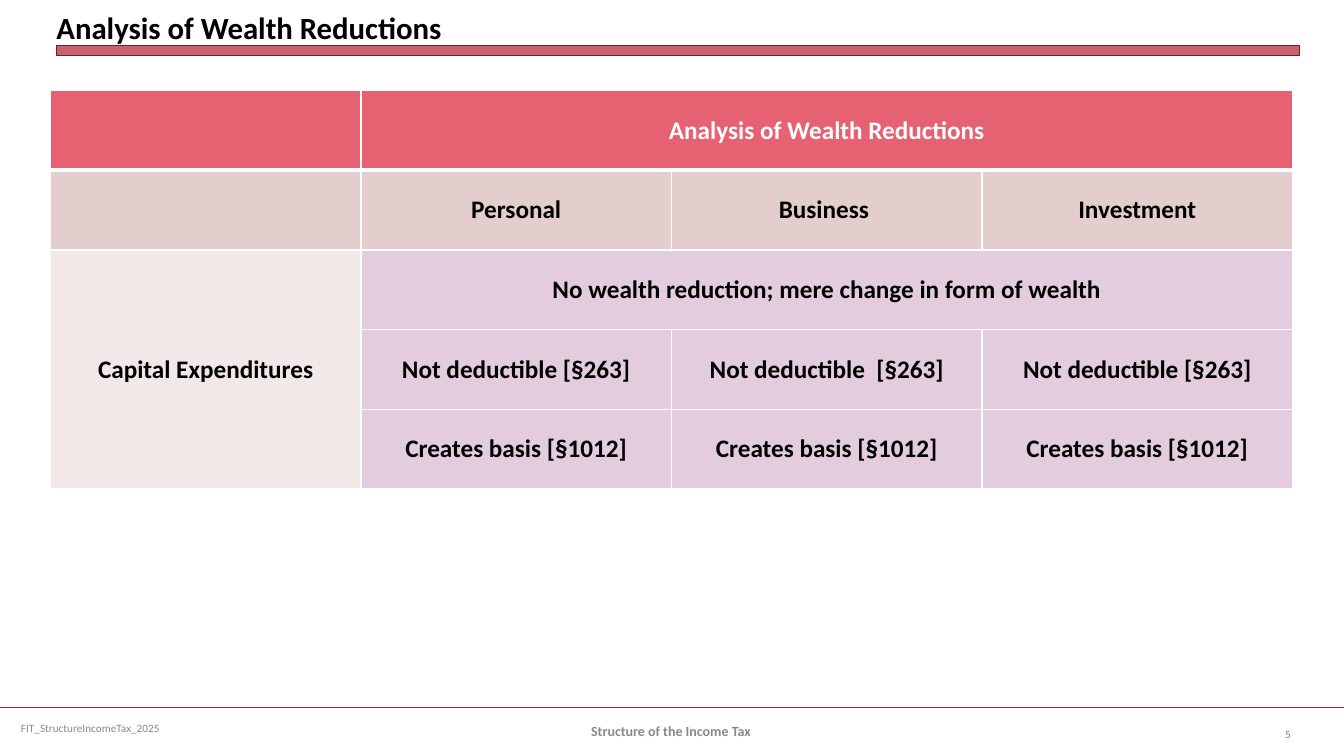
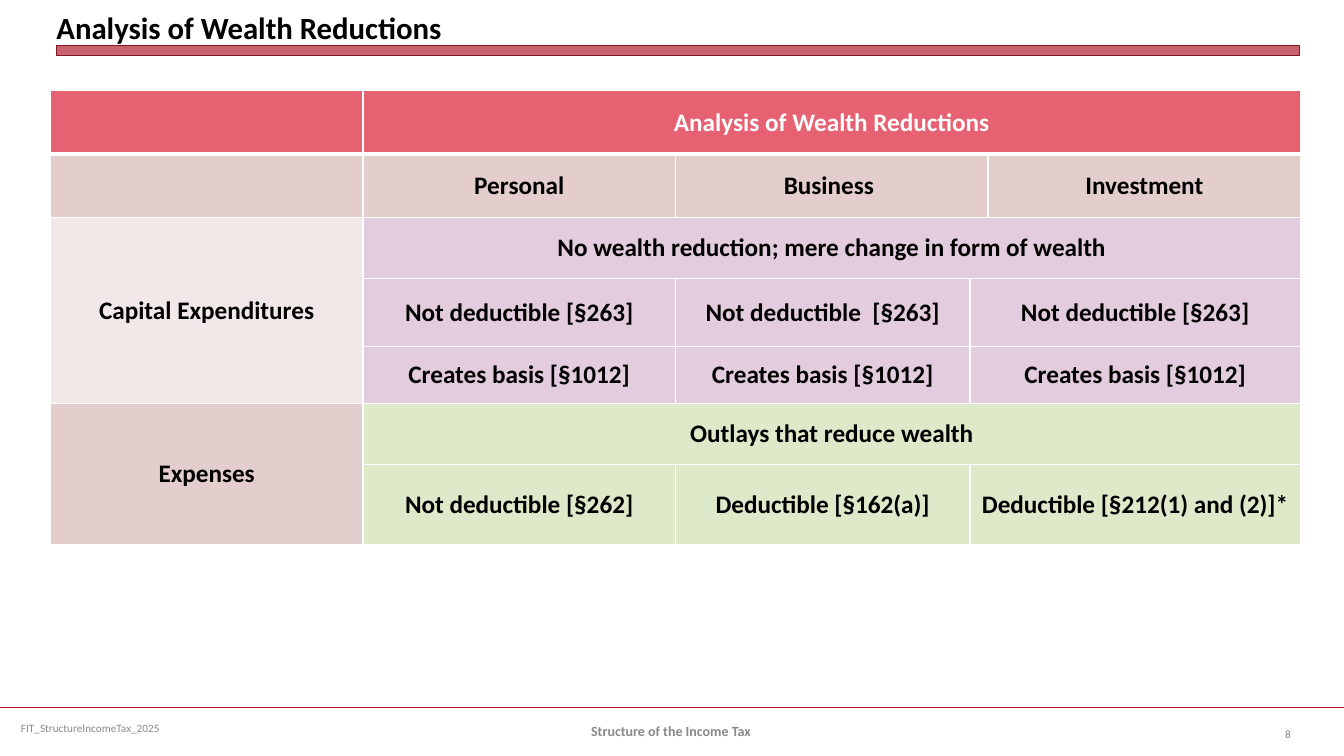
"""Build two slides that analyse wealth reductions for income tax."""
from dataclasses import dataclass

from lxml.etree import SubElement
from pptx import Presentation
from pptx.dml.color import RGBColor
from pptx.enum.shapes import MSO_CONNECTOR, MSO_SHAPE
from pptx.enum.text import MSO_ANCHOR, MSO_AUTO_SIZE, PP_ALIGN
from pptx.oxml.ns import qn
from pptx.util import Inches, Pt

FONT = "Calibri"
TITLE = "Analysis of Wealth Reductions"
BLACK, WHITE, GREY, PAGE_GREY = "000000", "FFFFFF", "898989", "808080"
RED, DARK_RED = "B01C2E", "821522"
HEAD, ROSE, PALE, LILAC, GREEN = "E66171", "E4CDCD", "F2E8E8", "E3CCDD", "DEE9C9"


@dataclass(frozen=True)
class Row:
    """A table row: height, fill, and texts with the columns each spans."""
    height: float
    fill: str
    texts: tuple[str, ...]
    spans: tuple[int, ...]


@dataclass(frozen=True)
class Label:
    """A first-column cell that spans some rows."""
    row: int
    rows: int
    fill: str
    text: str = ""


@dataclass(frozen=True)
class Page:
    """A slide: its number and its table."""
    number: int
    widths: tuple[float, ...]
    rows: tuple[Row, ...]
    labels: tuple[Label, ...]


@dataclass(frozen=True)
class Note:
    """A footer text box."""
    text: str
    box: tuple[float, float, float, float]
    size: int
    color: str
    align: PP_ALIGN
    bold: bool = False


def rgb(color: str) -> RGBColor:
    """Return the colour for a hex string."""
    return RGBColor.from_string(color)


def write(tf, text: str, size: int, color: str, align: PP_ALIGN, bold: bool) -> None:
    """Put one formatted paragraph in a text frame."""
    p = tf.paragraphs[0]
    if text:
        p.add_run().text = text
    p.alignment = align
    p.font.name, p.font.size, p.font.bold = FONT, Pt(size), bold
    p.font.color.rgb = rgb(color)


def add_title(s) -> None:
    """Fill and place the title placeholder."""
    sp = s.shapes.title
    sp.left, sp.top, sp.width, sp.height = map(Inches, (0.56, 0.05, 12.33, 0.4))
    tf = sp.text_frame
    tf.auto_size, tf.word_wrap = MSO_AUTO_SIZE.NONE, True
    tf.vertical_anchor = MSO_ANCHOR.BOTTOM
    tf.margin_left = tf.margin_right = tf.margin_top = tf.margin_bottom = 0
    write(tf, TITLE, 22, BLACK, PP_ALIGN.LEFT, True)


def add_band(s) -> None:
    """Draw the translucent bar under the title."""
    sp = s.shapes.add_shape(MSO_SHAPE.RECTANGLE, *map(Inches, (0.56, 0.45, 12.33, 0.1)))
    sp.shadow.inherit = False
    sp.fill.solid()
    sp.fill.fore_color.rgb = rgb(RED)
    fill = sp.fill._xPr.find(qn("a:solidFill"))
    SubElement(fill[0], qn("a:alpha"), val="69000")
    sp.line.color.rgb = rgb(DARK_RED)
    sp.line.width = Pt(0)


def add_footer(s, number: int) -> None:
    """Draw the footer rule and its three texts."""
    y = Inches(7.02)
    rule = s.shapes.add_connector(MSO_CONNECTOR.STRAIGHT, 0, y, Inches(13.33), y)
    rule.line.color.rgb = rgb(RED)
    rule.line.width = Pt(1.25)
    SubElement(rule._element.spPr, qn("a:effectLst"))
    notes = (
        Note("FIT_StructureIncomeTax_2025", (0.11, 7.02, 3.44, 0.4), 8, GREY, PP_ALIGN.LEFT),
        Note("Structure of the Income Tax ", (4.56, 7.05, 4.22, 0.4), 10, GREY,
             PP_ALIGN.CENTER, True),
        Note(str(number), (12.23, 7.08, 0.67, 0.4), 8, PAGE_GREY, PP_ALIGN.RIGHT),
    )
    for note in notes:
        tf = s.shapes.add_textbox(*map(Inches, note.box)).text_frame
        tf.word_wrap, tf.vertical_anchor = True, MSO_ANCHOR.MIDDLE
        write(tf, note.text, note.size, note.color, note.align, note.bold)


def set_borders(cell, top: float, bottom: float) -> None:
    """Give a cell white borders, 1 point wide at the sides."""
    tc_pr = cell._tc.get_or_add_tcPr()
    for side, width in (("L", 1), ("R", 1), ("T", top), ("B", bottom)):
        ln = SubElement(tc_pr, qn(f"a:ln{side}"), w=str(Pt(width)))
        SubElement(SubElement(ln, qn("a:solidFill")), qn("a:srgbClr"), val=WHITE)


def fill_block(table, row: int, col: int, rows: int, cols: int, fill: str, text: str) -> None:
    """Style a block of cells, merge it and write its text."""
    for r in range(row, row + rows):
        for c in range(col, col + cols):
            cell = table.cell(r, c)
            set_borders(cell, 3 if r == 1 else 1, 3 if r == 0 else 1)
            cell.fill.solid()
            cell.fill.fore_color.rgb = rgb(fill)
    first = table.cell(row, col)
    if rows * cols > 1:
        first.merge(table.cell(row + rows - 1, col + cols - 1))
    first.vertical_anchor = MSO_ANCHOR.MIDDLE
    color = WHITE if row == 0 else BLACK
    write(first.text_frame, text, 18, color, PP_ALIGN.CENTER, True)


def add_grid(s, page: Page) -> None:
    """Draw the table of a page."""
    heights = [row.height for row in page.rows]
    size = map(Inches, (0.5, 0.9, sum(page.widths), sum(heights)))
    table = s.shapes.add_table(len(heights), len(page.widths), *size).table
    table.horz_banding = False
    for column, width in zip(table.columns, page.widths):
        column.width = Inches(width)
    for i, row in enumerate(page.rows):
        table.rows[i].height = Inches(row.height)
        col = 1
        for text, span in zip(row.texts, row.spans):
            fill_block(table, i, col, 1, span, row.fill, text)
            col += span
    for label in page.labels:
        fill_block(table, label.row, 0, label.rows, 1, label.fill, label.text)


def capital_rows(heights: tuple[float, ...], head_spans: tuple[int, ...],
                 body_spans: tuple[int, ...]) -> tuple[Row, ...]:
    """Return the heading and capital expenditure rows."""
    whole = (sum(body_spans),)
    content = (
        (HEAD, (TITLE,), whole),
        (ROSE, ("Personal", "Business ", "Investment"), head_spans),
        (LILAC, ("No wealth reduction; mere change in form of wealth",), whole),
        (LILAC, ("Not deductible [§263]", "Not deductible  [§263]", "Not deductible [§263]"),
         body_spans),
        (LILAC, ("Creates basis [§1012]",) * 3, body_spans),
    )
    return tuple(Row(h, *c) for h, c in zip(heights, content))


def main() -> None:
    """Build and save the presentation."""
    even, split = (1, 1, 1), (1, 1, 2)
    labels = (Label(0, 1, HEAD), Label(1, 1, ROSE), Label(2, 3, PALE, "Capital Expenditures"))
    expense_rows = (
        Row(0.61, GREEN, ("Outlays that reduce wealth",), (4,)),
        Row(0.79, GREEN, ("Not deductible [§262]", "Deductible [§162(a)]",
                          "Deductible [§212(1) and (2)]*"), split),
    )
    pages = (
        Page(5, (3.08,) * 4, capital_rows((0.79,) * 5, even, even), labels),
        Page(8, (3.1, 3.1, 2.92, 0.18, 3.1),
             capital_rows((0.63, 0.63, 0.6, 0.68, 0.56), (1, 2, 1), split) + expense_rows,
             labels + (Label(5, 2, ROSE, "Expenses"),)),
    )
    prs = Presentation()
    prs.slide_width, prs.slide_height = Inches(13.33), Inches(7.5)
    for page in pages:
        s = prs.slides.add_slide(prs.slide_layouts[5])
        add_title(s)
        add_band(s)
        add_grid(s, page)
        add_footer(s, page.number)
    prs.save("out.pptx")


if __name__ == "__main__":
    main()
